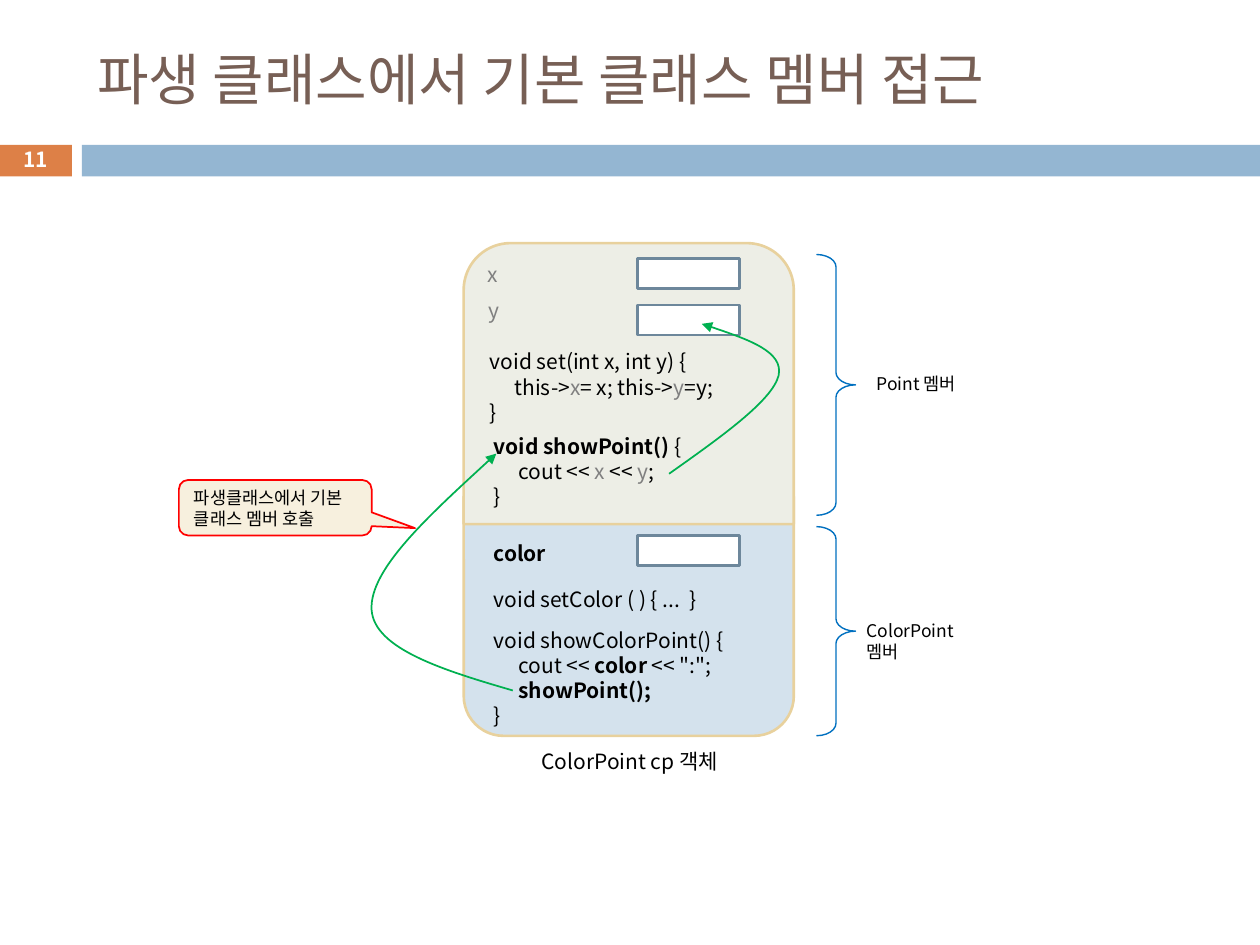
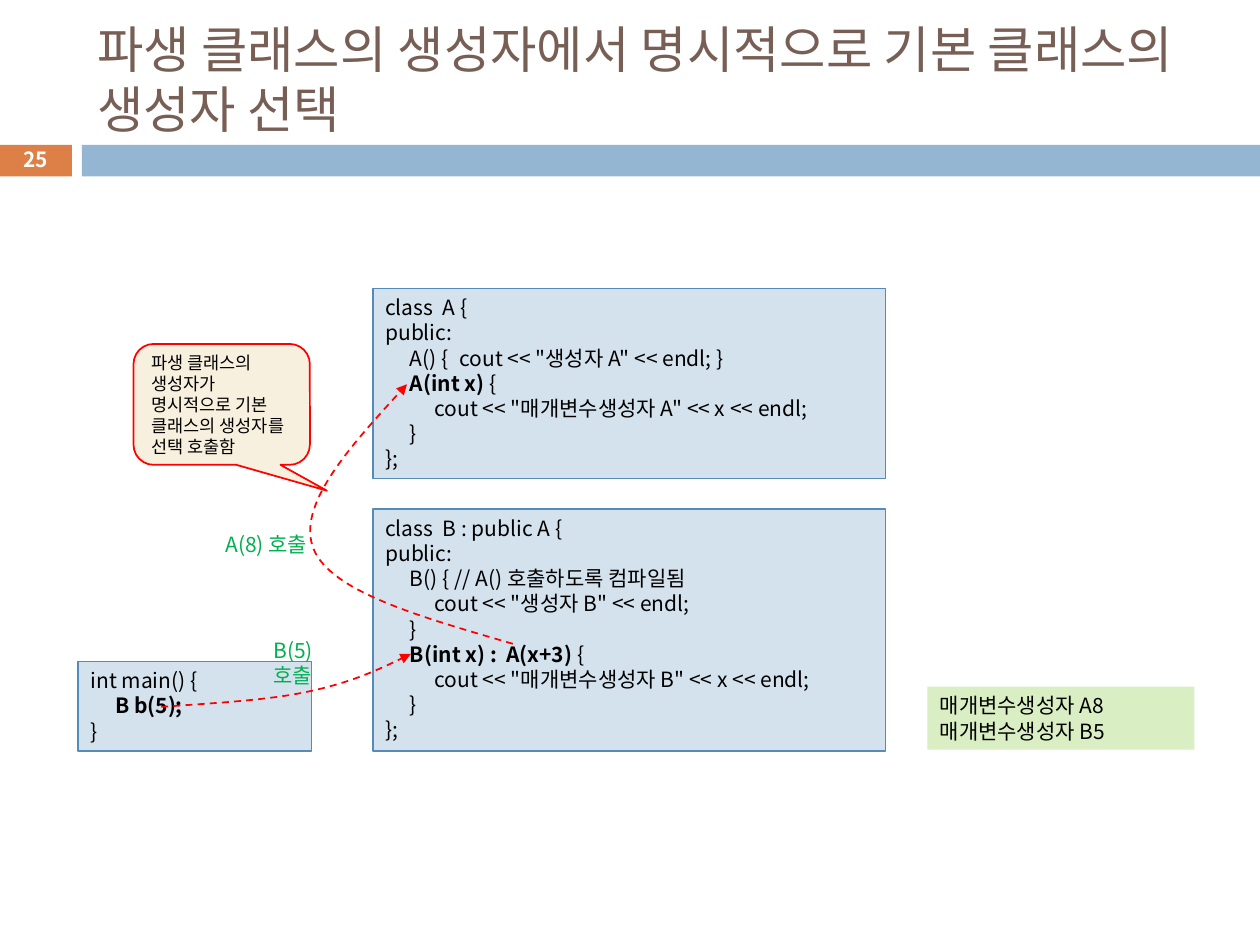
from dataclasses import dataclass

from lxml.etree import SubElement
from pptx import Presentation
from pptx.dml.color import RGBColor
from pptx.enum.dml import MSO_LINE as Dash
from pptx.enum.shapes import MSO_SHAPE as Preset
from pptx.enum.text import MSO_ANCHOR as Anchor, MSO_AUTO_SIZE as AutoSize, PP_ALIGN as Align
from pptx.oxml.ns import qn
from pptx.util import Inches, Pt


@dataclass(frozen=True)
class Theme:
    font: str = "Noto Sans CJK KR"
    title: str = "775F55"
    badge: str = "DD8047"
    band: str = "94B6D2"
    white: str = "FFFFFF"
    ink: str = "000000"
    muted: str = "808080"
    blue_panel: str = "D4E2ED"
    grey_panel: str = "EDEEE6"
    panel_edge: str = "E8D19D"
    field_edge: str = "6D879B"
    code_edge: str = "558BB8"
    brace: str = "0070C0"
    green: str = "00B050"
    red: str = "FF0000"
    callout: str = "F7F0DE"
    output: str = "DAEEC4"
    title_size: float = 32
    long_title_size: float = 28.8
    code_size: float = 12
    number_size: float = 11.9
    note_size: float = 10
    line_pitch: float = 1.2
    tab: float = 0.196


THEME = Theme()


def assign(target, values):
    for key, value in values.items():
        setattr(target, key, value)


def rgb(color):
    return RGBColor.from_string(color)


def bold(text):
    return text, {"bold": True}


def muted(text):
    return text, {"color": THEME.muted}


def write(frame, lines, size, color=THEME.ink, strong=False, align=Align.LEFT,
          anchor=Anchor.TOP, wrap=True):
    assign(frame, {"word_wrap": wrap, "auto_size": AutoSize.NONE, "vertical_anchor": anchor})
    for index, line in enumerate(lines):
        paragraph = frame.add_paragraph() if index else frame.paragraphs[0]
        assign(paragraph, {"alignment": align, "line_spacing": Pt(size * THEME.line_pitch)})
        pieces = [line] if isinstance(line, str) else line
        if any("\t" in (piece if isinstance(piece, str) else piece[0]) for piece in pieces):
            add_tab_stops(paragraph)
        for piece in pieces:
            text, style = (piece, {}) if isinstance(piece, str) else piece
            run = paragraph.add_run()
            run.text = text
            assign(run.font, {"name": THEME.font, "size": Pt(size),
                              "bold": style.get("bold", strong)})
            run.font.color.rgb = rgb(style.get("color", color))
            SubElement(run.font._element, qn("a:ea"), typeface=THEME.font)


def add_tab_stops(paragraph):
    stops = SubElement(paragraph._p.get_or_add_pPr(), qn("a:tabLst"))
    for step in range(1, 5):
        SubElement(stops, qn("a:tab"), pos=str(Inches(step * THEME.tab)), algn="l")


def paint(shape, fill=None, edge=None, width=1.0):
    shape.shadow.inherit = False
    if fill:
        shape.fill.solid()
        shape.fill.fore_color.rgb = rgb(fill)
    else:
        shape.fill.background()
    if edge:
        shape.line.color.rgb = rgb(edge)
        shape.line.width = Pt(width)
    else:
        shape.line.fill.background()


def add_box(slide, preset, place, fill=None, edge=None, width=1.0, adjust=()):
    box = slide.shapes.add_shape(preset, *map(Inches, place))
    paint(box, fill, edge, width)
    for index, value in enumerate(adjust):
        box.adjustments[index] = value
    return box


def add_label(slide, place, lines, size=THEME.code_size, **options):
    label = slide.shapes.add_textbox(*map(Inches, place))
    write(label.text_frame, lines, size, **options)


def add_code_box(slide, place, lines, fill=THEME.blue_panel, edge=THEME.code_edge):
    box = add_box(slide, Preset.RECTANGLE, place, fill, edge, 0.75)
    write(box.text_frame, lines, THEME.code_size)


def add_callout(slide, place, text, tip):
    callout = add_box(slide, Preset.ROUNDED_RECTANGULAR_CALLOUT, place,
                      THEME.callout, THEME.red, 1, (*tip, 0.167))
    write(callout.text_frame, [text], THEME.note_size, anchor=Anchor.MIDDLE)


def add_brace(slide, top, height):
    add_box(slide, Preset.RIGHT_BRACE, (6.48, top, 0.31, height),
            edge=THEME.brace, width=0.79, adjust=(0.318, 0.5))


def add_call_arrow(slide, points, color, dash=None):
    start, *rest = [(Inches(x), Inches(y)) for x, y in points]
    builder = slide.shapes.build_freeform(*start)
    builder.add_line_segments(rest, close=False)
    arrow = builder.convert_to_shape()
    paint(arrow, edge=color)
    if dash:
        arrow.line.dash_style = dash
    SubElement(arrow.line._get_or_add_ln(), qn("a:tailEnd"), type="triangle")
    outline = next(arrow.element.iter(qn("a:path")))
    segments = outline.findall(qn("a:lnTo"))
    for first in range(0, len(segments), 3):
        curve = SubElement(outline, qn("a:cubicBezTo"))
        for segment in segments[first:first + 3]:
            curve.append(segment[0])
            outline.remove(segment)


def move_bands_to_layout(slide):
    bands = (((-0.01, 1.15, 0.58, 0.25), THEME.badge), ((0.65, 1.15, 9.35, 0.25), THEME.band))
    for index, (place, color) in enumerate(bands):
        band = add_box(slide, Preset.RECTANGLE, place, color)
        band.element.nvSpPr.cNvPr.id = 101 + index
        slide.slide_layout.shapes.element.append(band.element)


def add_titled_slide(deck, title, number, size=THEME.title_size):
    slide = deck.slides.add_slide(deck.slide_layouts[5])
    heading = slide.shapes.title
    assign(heading, dict(zip(("left", "top", "width", "height"),
                             map(Inches, (0.67, 0.25, 8.92, 0.74)))))
    write(heading.text_frame, [title], size, THEME.title, anchor=Anchor.MIDDLE)
    add_label(slide, (-0.01, 1.13, 0.58, 0.27), [number], THEME.number_size, color=THEME.white,
              strong=True, align=Align.CENTER, anchor=Anchor.MIDDLE)
    return slide


def build_member_access(deck):
    slide = add_titled_slide(deck, "파생 클래스에서 기본 클래스 멤버 접근", "11")
    move_bands_to_layout(slide)
    derived_part = add_box(slide, Preset.ROUND_2_SAME_RECTANGLE, (3.68, 3.94, 2.62, 1.9),
                           THEME.blue_panel, THEME.panel_edge, 1.5)
    derived_part.rotation = 180
    add_box(slide, Preset.ROUND_2_SAME_RECTANGLE, (3.68, 1.93, 2.62, 2.23),
            THEME.grey_panel, THEME.panel_edge, 1.5)
    for top in (2.05, 2.42, 4.25):
        add_box(slide, Preset.RECTANGLE, (5.06, top, 0.81, 0.24),
                THEME.white, THEME.field_edge, 1.5)

    members = (
        ((3.77, 2.03, 0.76, 0.3), [[muted("x")]]),
        ((3.78, 2.31, 0.75, 0.3), [[muted("y")]]),
        ((3.79, 2.72, 2.53, 0.71), [
            "void set(int x, int y) {",
            ["\tthis->", muted("x"), "= x; this->", muted("y"), "=y;"],
            "}"]),
        ((3.82, 3.39, 2.65, 0.71), [
            [bold("void showPoint() "), "{"],
            ["\tcout << ", muted("x"), " << ", muted("y"), ";"],
            "}"]),
        ((3.82, 4.24, 1.33, 0.3), [[bold("color")]]),
        ((3.82, 4.61, 2.48, 0.3), ["void setColor ( ) { ...  }"]),
        ((3.82, 4.93, 2.48, 0.91), [
            "void showColorPoint() {",
            ["\tcout << ", bold("color"), ' << ":";'],
            ["\t", bold("showPoint();")],
            "}"]),
        ((4.2, 5.89, 1.73, 0.3), ["ColorPoint cp 객체"]),
    )
    for place, lines in members:
        add_label(slide, place, lines)

    add_call_arrow(slide, [(4.07, 5.48), (3.52, 5.32), (2.97, 5.15), (2.95, 4.84),
                           (2.93, 4.52), (3.44, 4.06), (3.94, 3.6)], THEME.green)
    add_brace(slide, 2.02, 2.07)
    add_label(slide, (6.86, 2.91, 0.86, 0.27), ["Point 멤버"], THEME.note_size, wrap=False)
    add_brace(slide, 4.18, 1.66)
    add_label(slide, (6.78, 4.87, 1.1, 0.27), ["ColorPoint 멤버"], THEME.note_size)
    add_callout(slide, (1.42, 3.81, 1.53, 0.44),
                "파생클래스에서 기본 클래스 멤버 호출", (0.725, 0.368))
    add_call_arrow(slide, [(5.31, 3.76), (5.72, 3.47), (6.13, 3.18), (6.18, 2.98),
                           (6.22, 2.79), (5.9, 2.68), (5.57, 2.57)], THEME.green)


def build_constructor_choice(deck):
    slide = add_titled_slide(
        deck, "파생 클래스의 생성자에서 명시적으로 기본 클래스의 생성자 선택", "25",
        THEME.long_title_size)
    add_code_box(slide, (2.96, 2.29, 4.07, 1.51), [
        "class  A {",
        "public:",
        '\tA() { \tcout << "생성자 A" << endl; }',
        ["\t", bold("A(int x) "), "{"],
        '\t\tcout << "매개변수생성자 A" << x << endl;',
        "\t}",
        "};"])
    add_code_box(slide, (2.96, 4.04, 4.07, 1.92), [
        "class  B : public A {",
        "public:",
        "\tB() { // A() 호출하도록 컴파일됨",
        '\t\tcout << "생성자 B" << endl;',
        "\t}",
        ["\t", bold("B(int x) :  A(x+3) "), "{"],
        '\t\tcout << "매개변수생성자 B" << x << endl;',
        "\t}",
        "};"])
    add_code_box(slide, (0.62, 5.25, 1.85, 0.71),
                 ["int main() {", ["\t", bold("B b(5);")], "}"])
    add_code_box(slide, (7.36, 5.45, 2.12, 0.5),
                 ["매개변수생성자 A8", "매개변수생성자 B5"], THEME.output, None)
    add_callout(slide, (1.06, 2.73, 1.4, 0.96),
                "파생 클래스의 생성자가 명시적으로 기본 클래스의 생성자를 선택 호출함",
                (0.597, 0.714))
    add_label(slide, (2.07, 5.01, 0.82, 0.3), ["B(5) 호출"], color=THEME.green)
    add_label(slide, (1.69, 4.17, 0.9, 0.3), ["A(8) 호출"], color=THEME.green, wrap=False)
    add_call_arrow(slide, [(4.07, 5.11), (3.35, 4.9), (2.63, 4.7), (2.49, 4.36),
                           (2.35, 4.02), (2.79, 3.53), (3.23, 3.05)], THEME.red, Dash.DASH)
    add_call_arrow(slide, [(1.28, 5.61), (1.69, 5.58), (2.11, 5.56), (2.44, 5.49),
                           (2.77, 5.42), (3.02, 5.31), (3.26, 5.19)], THEME.red, Dash.DASH)


def main():
    deck = Presentation()
    assign(deck, {"slide_width": Inches(10), "slide_height": Inches(7.5)})
    build_member_access(deck)
    build_constructor_choice(deck)
    deck.save("out.pptx")


if __name__ == "__main__":
    main()
